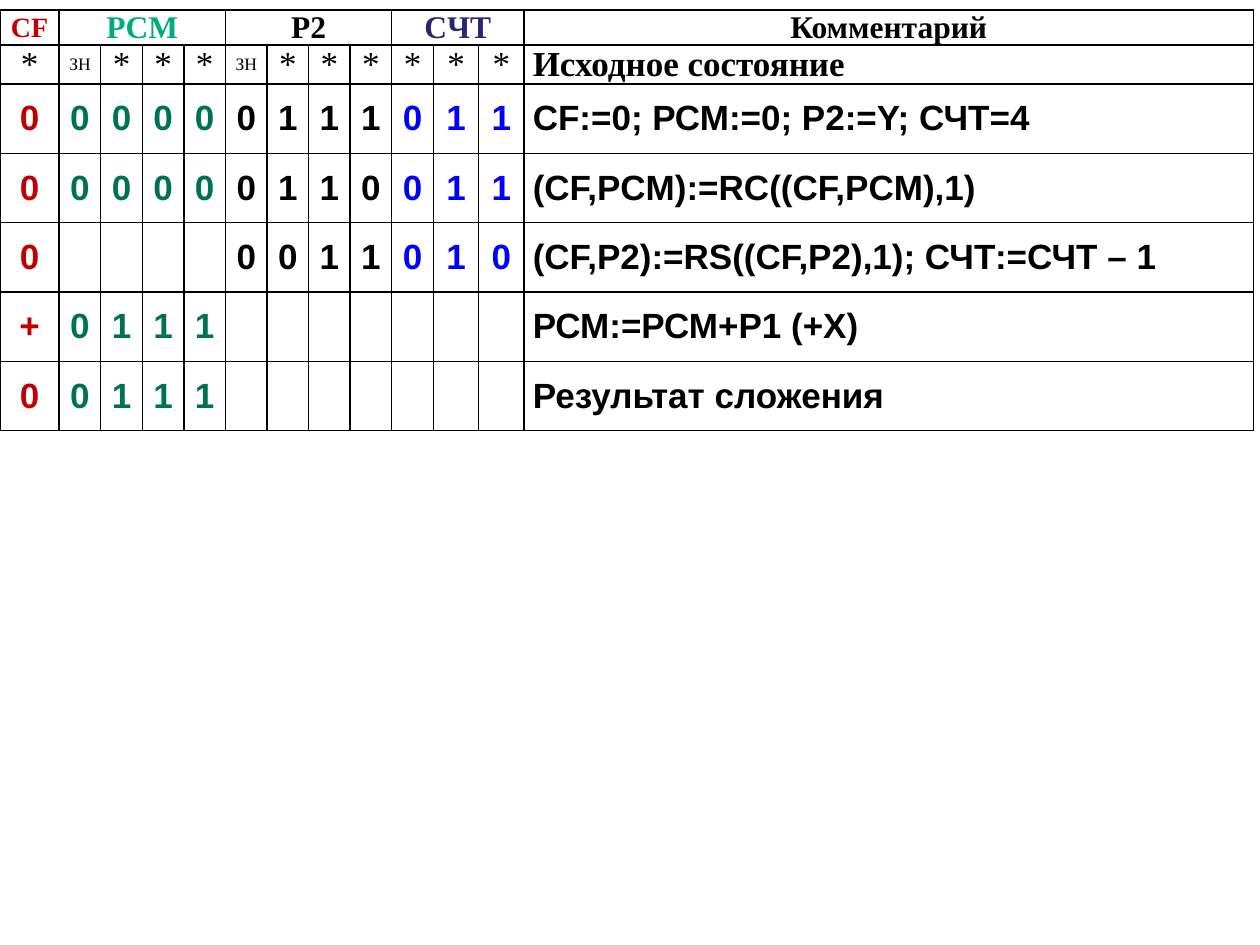
"""Build a slide tabulating the register states of a shift-and-add multiplication."""
from dataclasses import dataclass

from lxml import etree
from pptx import Presentation, util as u
from pptx.dml import color
from pptx.enum import text
from pptx.oxml import ns


@dataclass(frozen=True)
class Theme:
    serif: str = "Times New Roman"
    sans: str = "Arial"
    ink: str = "000000"
    carry: str = "C00000"
    sum_head: str = "00AB7E"
    sum_digit: str = "007254"
    count_head: str = "262673"
    count_digit: str = "0000FF"
    sign_size: int = 10
    carry_size: int = 16
    head_size: int = 18
    body_size: int = 20
    border_width: int = 1


@dataclass(frozen=True)
class Register:
    name: str
    columns: int
    share: float
    head_color: str
    digit_color: str
    head_size: int
    mask: str


@dataclass(frozen=True)
class Style:
    font: str
    size: int
    color: str
    bold: bool = True
    align: text.PP_ALIGN = text.PP_ALIGN.CENTER


@dataclass(frozen=True)
class Step:
    digits: tuple[str, ...]
    comment: str


THEME = Theme()
REGISTERS = (
    Register("CF", 1, 0.047, THEME.carry, THEME.carry, THEME.carry_size, "*"),
    Register("PCM", 4, 0.033, THEME.sum_head, THEME.sum_digit, THEME.head_size, "ЗН * * *"),
    Register("P2", 4, 0.033, THEME.ink, THEME.ink, THEME.head_size, "ЗН * * *"),
    Register("CЧТ", 3, 0.036, THEME.count_head, THEME.count_digit, THEME.head_size, "* * *"),
)
STEPS = (
    Step(("0", "0000", "0111", "011"), "CF:=0; РСМ:=0; Р2:=Y; СЧТ=4"),
    Step(("0", "0000", "0110", "011"), "(CF,PCM):=RС((CF,PCM),1)"),
    Step(("0", "", "0011", "010"), "(CF,P2):=RS((CF,P2),1); СЧТ:=СЧТ – 1"),
    Step(("+", "0111", "", ""), "РСМ:=РСМ+Р1 (+X)"),
    Step(("0", "0111", "", ""), "Результат сложения"),
)
FIRST_COUNTER_SHARE = 0.033
COMMENT_SHARE = 0.579
HEAD_ROWS = 2
HEAD_ROW_SHARE = 0.037
STEP_ROW_SHARE = 0.0734
TOP_SHARE = 0.0107


def draw_borders(cell) -> None:
    """Give the cell a solid line on all four sides."""
    properties = cell._tc.get_or_add_tcPr()
    for position, side in enumerate(("a:lnL", "a:lnR", "a:lnT", "a:lnB")):
        line = etree.Element(ns.qn(side), w=str(u.Pt(THEME.border_width)))
        fill = etree.SubElement(line, ns.qn("a:solidFill"))
        etree.SubElement(fill, ns.qn("a:srgbClr"), val=THEME.ink)
        properties.insert(position, line)


def write(cell, words: str, style: Style) -> None:
    """Put styled words into a cell."""
    cell.text_frame.text = words
    para = cell.text_frame.paragraphs[0]
    para.alignment = style.align
    para.space_after = u.Pt(3)
    for span in para.runs:
        span.font.name = style.font
        span.font.size = u.Pt(style.size)
        span.font.bold = style.bold
        span.font.color.rgb = color.RGBColor.from_string(style.color)


def add_grid(page, width: int, height: int):
    """Add the bordered, unfilled table sized by shares of the slide."""
    shares = [r.share for r in REGISTERS for _ in range(r.columns)] + [COMMENT_SHARE]
    shares[-1 - REGISTERS[-1].columns] = FIRST_COUNTER_SHARE
    heights = [HEAD_ROW_SHARE] * HEAD_ROWS + [STEP_ROW_SHARE] * len(STEPS)
    frame = page.shapes.add_table(
        len(heights), len(shares), 0, int(TOP_SHARE * height),
        int(sum(shares) * width), int(sum(heights) * height))
    table = frame.table
    table.first_row = table.horz_banding = False
    for column, share in zip(table.columns, shares):
        column.width = int(share * width)
    for row, share in zip(table.rows, heights):
        row.height = int(share * height)
    for cell in table.iter_cells():
        cell.fill.background()
        cell.vertical_anchor = text.MSO_ANCHOR.MIDDLE
        cell.margin_left = cell.margin_right = u.Inches(0.07)
        cell.margin_top = cell.margin_bottom = 0
        draw_borders(cell)
    return table


def fill_register(table, index: int, start: int) -> None:
    """Write one register's heading, bit mask and digits."""
    register = REGISTERS[index]
    heading = table.cell(0, start)
    if register.columns > 1:
        heading.merge(table.cell(0, start + register.columns - 1))
    write(heading, register.name, Style(THEME.serif, register.head_size, register.head_color))
    for offset, mark in enumerate(register.mask.split()):
        size = THEME.body_size if mark == "*" else THEME.sign_size
        write(table.cell(1, start + offset), mark, Style(THEME.serif, size, THEME.ink, bold=False))
    digit_style = Style(THEME.sans, THEME.body_size, register.digit_color)
    for row, step in enumerate(STEPS, HEAD_ROWS):
        for offset, digit in enumerate(step.digits[index]):
            write(table.cell(row, start + offset), digit, digit_style)


def fill_comments(table, column: int) -> None:
    """Write the comment column."""
    left = text.PP_ALIGN.LEFT
    write(table.cell(0, column), "Комментарий", Style(THEME.serif, THEME.head_size, THEME.ink))
    write(table.cell(1, column), "Исходное состояние",
          Style(THEME.serif, THEME.body_size, THEME.ink, align=left))
    for row, step in enumerate(STEPS, HEAD_ROWS):
        write(table.cell(row, column), step.comment,
              Style(THEME.sans, THEME.body_size, THEME.ink, align=left))


def main() -> None:
    """Create and save the deck."""
    deck = Presentation()
    deck.slide_width, deck.slide_height = u.Inches(10), u.Inches(7.5)
    page = deck.slides.add_slide(deck.slide_layouts.get_by_name("Blank"))
    table = add_grid(page, deck.slide_width, deck.slide_height)
    start = 0
    for index, register in enumerate(REGISTERS):
        fill_register(table, index, start)
        start += register.columns
    fill_comments(table, start)
    deck.save("out.pptx")


if __name__ == "__main__":
    main()
